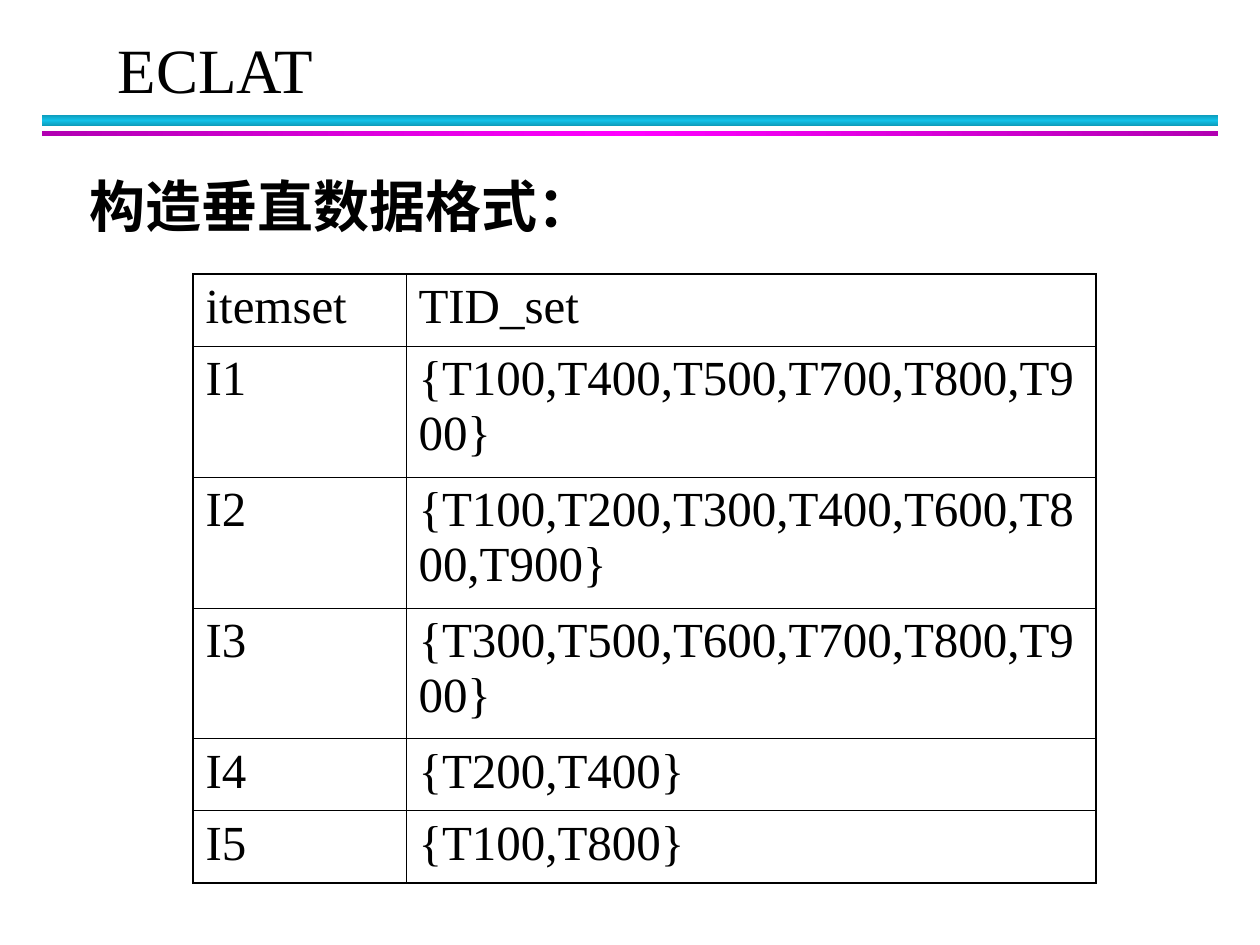
from copy import deepcopy

from lxml.etree import SubElement
from pptx import Presentation
from pptx.dml.color import RGBColor
from pptx.enum.shapes import MSO_SHAPE as Preset
from pptx.enum.text import MSO_ANCHOR as Anchor, MSO_AUTO_SIZE as AutoSize, PP_ALIGN as Align
from pptx.oxml.ns import qn
from pptx.util import Pt

EMU_PER_PX = 914400 / 126
ROWS = [
    ("itemset", "TID_set"),
    ("I1", "{T100,T400,T500,T700,T800,T900}"),
    ("I2", "{T100,T200,T300,T400,T600,T800,T900}"),
    ("I3", "{T300,T500,T600,T700,T800,T900}"),
    ("I4", "{T200,T400}"),
    ("I5", "{T100,T800}"),
]


def px(length):
    return round(length * EMU_PER_PX)


def color(value):
    return RGBColor.from_string(value)


def apply(target, values):
    for name, value in values.items():
        setattr(target, name, value)


class SlideBuilder:
    font_name = "Times New Roman"
    ink = "000000"
    outer_line = 1.08
    inner_line = 0.45

    def __init__(self, slide):
        self.slide = slide

    def set_text(self, frame, text, size, bold=False, align=Align.LEFT):
        frame.text = text
        paragraph = frame.paragraphs[0]
        apply(paragraph, {"alignment": align, "space_before": Pt(0)})
        apply(paragraph.font, {"name": self.font_name, "size": Pt(size), "bold": bold})
        paragraph.font.color.rgb = color(self.ink)

    def title(self, text, left, top, width, height):
        shape = self.slide.shapes.title
        box = {"left": px(left), "top": px(top), "width": px(width), "height": px(height)}
        apply(shape, box)
        apply(shape.text_frame, {"auto_size": AutoSize.NONE, "vertical_anchor": Anchor.TOP,
                                 "margin_top": px(14)})
        self.set_text(shape.text_frame, text, 36)

    def heading(self, text, *box):
        frame = self.slide.shapes.add_textbox(*map(px, box)).text_frame
        apply(frame, {"word_wrap": True, "vertical_anchor": Anchor.TOP})
        self.set_text(frame, text, 32, bold=True, align=Align.CENTER)

    def bar(self, edge, middle, angle, *box):
        shape = self.slide.shapes.add_shape(Preset.RECTANGLE, *map(px, box))
        shape.shadow.inherit = False
        shape.line.fill.background()
        shape.fill.gradient()
        shape.fill.gradient_angle = angle
        stop_list = shape._element.spPr.find(qn("a:gradFill")).find(qn("a:gsLst"))
        stop_list.append(deepcopy(stop_list[0]))
        for stop, position, value in zip(shape.fill.gradient_stops, (0, 0.5, 1), (edge, middle, edge)):
            stop.position = position
            stop.color.rgb = color(value)

    def border(self, cell, side, width):
        line = SubElement(cell._tc.get_or_add_tcPr(), qn(f"a:ln{side}"), w=str(Pt(width)))
        fill = SubElement(line, qn("a:solidFill"))
        SubElement(fill, qn("a:srgbClr"), val=self.ink)

    def table(self, rows, left, top, widths, heights):
        box = map(px, (left, top, sum(widths), sum(heights)))
        table = self.slide.shapes.add_table(len(rows), len(widths), *box).table
        apply(table, {"first_row": False, "horz_banding": False})
        for column, width in zip(table.columns, widths):
            column.width = px(width)
        for row, height in zip(table.rows, heights):
            row.height = px(height)
        for r, texts in enumerate(rows):
            for c, text in enumerate(texts):
                cell = table.cell(r, c)
                self.set_text(cell.text_frame, text, 28)
                outer_sides = {"L": c == 0, "R": c == len(widths) - 1,
                               "T": r == 0, "B": r == len(rows) - 1}
                for side, is_outer in outer_sides.items():
                    self.border(cell, side, self.outer_line if is_outer else self.inner_line)
                cell.fill.background()


def main():
    presentation = Presentation()
    apply(presentation, {"slide_width": px(1260), "slide_height": px(945)})
    title_only = presentation.slide_layouts[5]
    builder = SlideBuilder(presentation.slides.add_slide(title_only))
    builder.bar("0E9BBA", "12C2E9", 90, 42, 115, 1176, 11)
    builder.bar("B200B2", "FF00FF", 0, 42, 131, 1176, 5)
    builder.heading("构造垂直数据格式：", 44, 165, 595, 81)
    single, double = 72, 131
    builder.table(ROWS, 193, 274, (213, 690), (single, double, double, double, single, single))
    builder.title("ECLAT", 105, 16, 1091, 88)
    presentation.save("out.pptx")


if __name__ == "__main__":
    main()
